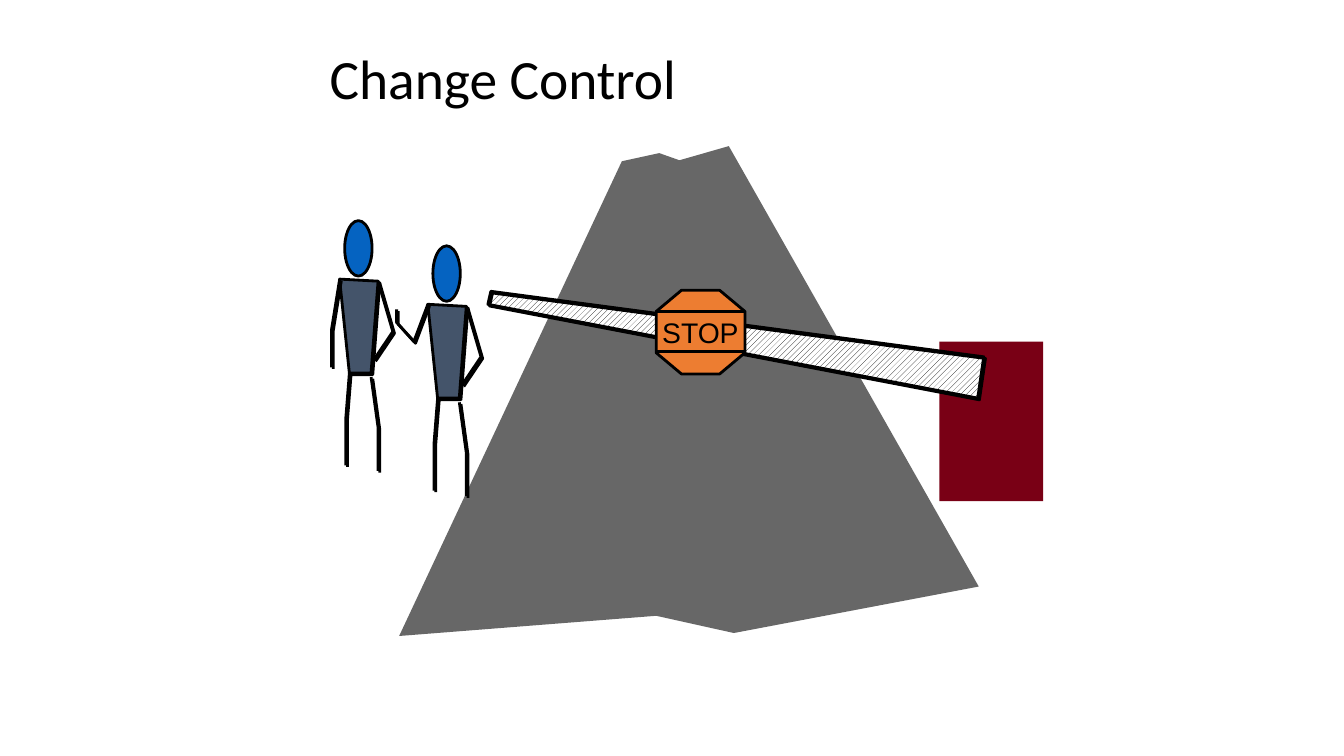
from dataclasses import dataclass

from lxml import etree
from pptx import Presentation
from pptx.dml.color import RGBColor
from pptx.enum.dml import MSO_PATTERN
from pptx.enum.shapes import MSO_CONNECTOR, MSO_SHAPE
from pptx.enum.text import MSO_ANCHOR, MSO_AUTO_SIZE, PP_ALIGN
from pptx.util import Pt

RECT, OVAL = MSO_SHAPE.RECTANGLE, MSO_SHAPE.OVAL
STRAIGHT = MSO_CONNECTOR.STRAIGHT
HATCH = MSO_PATTERN.WIDE_UPWARD_DIAGONAL
MIDDLE, LEFT = MSO_ANCHOR.MIDDLE, PP_ALIGN.LEFT
FIT_SHAPE, NO_FIT = MSO_AUTO_SIZE.SHAPE_TO_FIT_TEXT, MSO_AUTO_SIZE.NONE
EFFECTS = "{http://schemas.openxmlformats.org/drawingml/2006/main}effectLst"


@dataclass(frozen=True)
class Theme:
    ink: RGBColor = RGBColor(0, 0, 0)
    paper: RGBColor = RGBColor(255, 255, 255)
    road: RGBColor = RGBColor(0x67, 0x67, 0x67)
    post: RGBColor = RGBColor(0x79, 0x00, 0x15)
    head: RGBColor = RGBColor(0x05, 0x63, 0xC1)
    body: RGBColor = RGBColor(0x44, 0x54, 0x6A)
    sign: RGBColor = RGBColor(0xED, 0x7D, 0x31)
    title_font: str = "Calibri"
    sign_font: str = "Arial"
    title_size: float = 39.6
    sign_size: float = 20.2
    stroke: float = 2
    echo: float = 1.2  # offset of the second stroke in a hand-drawn line


T = Theme()

# Outlines of the scene, in points
ROAD = [(444.2, 115.2), (470.9, 109.4), (485.3, 114.5), (520.6, 104.4),
        (699.1, 419), (524.2, 452.2), (468.7, 439.9), (285.1, 454.3)]
BARRIER = [(702.7, 254.9), (698.4, 284.4), (348.5, 217.4),
           (350.6, 208.1)]
SIGN = [(486.7, 207.4), (514.1, 207.4), (532.1, 222.5), (532.1, 252),
        (514.1, 267.1), (486.7, 267.1), (468.7, 252), (468.7, 222.5)]

# Parts of a person, in points from the left shoulder
BODY = [(0, 0), (27.5, 1.5), (22.5, 67), (7, 67)]
RIGHT_ARM = [(27.5, 1.5), (38, 37.5), (24.5, 57.5)]
RIGHT_LEG = [(22.5, 70), (27.5, 106), (27.5, 137)]
LEFT_LEG = [(7, 67), (4.5, 98.5), (4.5, 133)]
ARM_DOWN = [(0, 0), (-5.8, 36), (-5.8, 63)]
ARM_RAISED = [(0, 0), (-10, 26.6), (-22.3, 13), (-22.3, 3.6)]


def style(sp, fill=None, line=True):
    sp.shadow.inherit = False
    if fill is None:
        sp.fill.background()
    else:
        sp.fill.solid()
        sp.fill.fore_color.rgb = fill
    if line:
        sp.line.color.rgb = T.ink
        sp.line.width = Pt(T.stroke)
    else:
        sp.line.fill.background()
    return sp


def move(points, dx, dy):
    return [(x + dx, y + dy) for x, y in points]


def outline(s, points, fill=None, line=True, close=True):
    emu = [(Pt(x), Pt(y)) for x, y in points]
    builder = s.shapes.build_freeform(*emu[0])
    builder.add_line_segments(emu[1:], close=close)
    return style(builder.convert_to_shape(), fill, line)


def sketch(s, points, fill=None, close=True):
    """Draw an outline over a slightly shifted echo; return the echo."""
    echo = outline(s, move(points, T.echo, T.echo), close=close)
    outline(s, points, fill, close=close)
    return echo


def preset(s, kind, x, y, w, h, fill, line=True):
    sp = s.shapes.add_shape(kind, Pt(x), Pt(y), Pt(w), Pt(h))
    return style(sp, fill, line)


def rule(s, x1, x2, y):
    sp = s.shapes.add_connector(STRAIGHT, Pt(x1), Pt(y), Pt(x2), Pt(y))
    sp.line.color.rgb = T.ink
    sp.line.width = Pt(T.stroke)
    etree.SubElement(sp._element.spPr, EFFECTS)


def write(tf, text, font, size):
    tf.text = text
    p = tf.paragraphs[0]
    p.alignment = LEFT
    r = p.runs[0]
    r.font.name, r.font.size = font, Pt(size)
    r.font.color.rgb = T.ink
    return p


def title(s, text):
    sp = s.shapes.title
    sp.left, sp.top, sp.width, sp.height = Pt(227.5), Pt(46), Pt(518.4), Pt(24)
    tf = sp.text_frame
    tf.vertical_anchor, tf.auto_size = MIDDLE, NO_FIT
    tf.margin_left = tf.margin_right = Pt(7.9)
    write(tf, text, T.title_font, T.title_size).line_spacing = 0.9


def person(s, x, y, left_arm):
    preset(s, OVAL, x + 3.6, y - 41.8, 19.6, 39.6, T.head)
    sketch(s, move(BODY, x, y), T.body)
    for limb in (left_arm, RIGHT_ARM, RIGHT_LEG, LEFT_LEG):
        sketch(s, move(limb, x, y), close=False)


def stop_sign(s):
    outline(s, SIGN, T.sign)
    rule(s, 468.7, 532.1, 222.5)
    rule(s, 468.7, 532.1, 251.3)
    sp = s.shapes.add_textbox(Pt(465.1), Pt(221.8), Pt(71.3), Pt(32.4))
    tf = sp.text_frame
    tf.word_wrap, tf.auto_size = False, FIT_SHAPE
    tf.margin_left = tf.margin_right = Pt(7.9)
    write(tf, "STOP", T.sign_font, T.sign_size)


def main():
    prs = Presentation()
    prs.slide_width, prs.slide_height = Pt(960), Pt(540)
    s = prs.slides.add_slide(prs.slide_layouts[5])

    # Road and barrier post
    preset(s, RECT, 671, 244.1, 74.2, 113.8, T.post, line=False)
    outline(s, ROAD, T.road, line=False)
    title(s, "Change Control")

    # Hatched barrier
    fill = sketch(s, BARRIER).fill
    fill.patterned()
    fill.pattern = HATCH
    fill.fore_color.rgb, fill.back_color.rgb = T.ink, T.paper

    # People waiting, and the sign on the barrier
    person(s, 305.6, 217.4, ARM_RAISED)
    person(s, 242.6, 199.4, ARM_DOWN)
    stop_sign(s)

    prs.save("out.pptx")


main()
